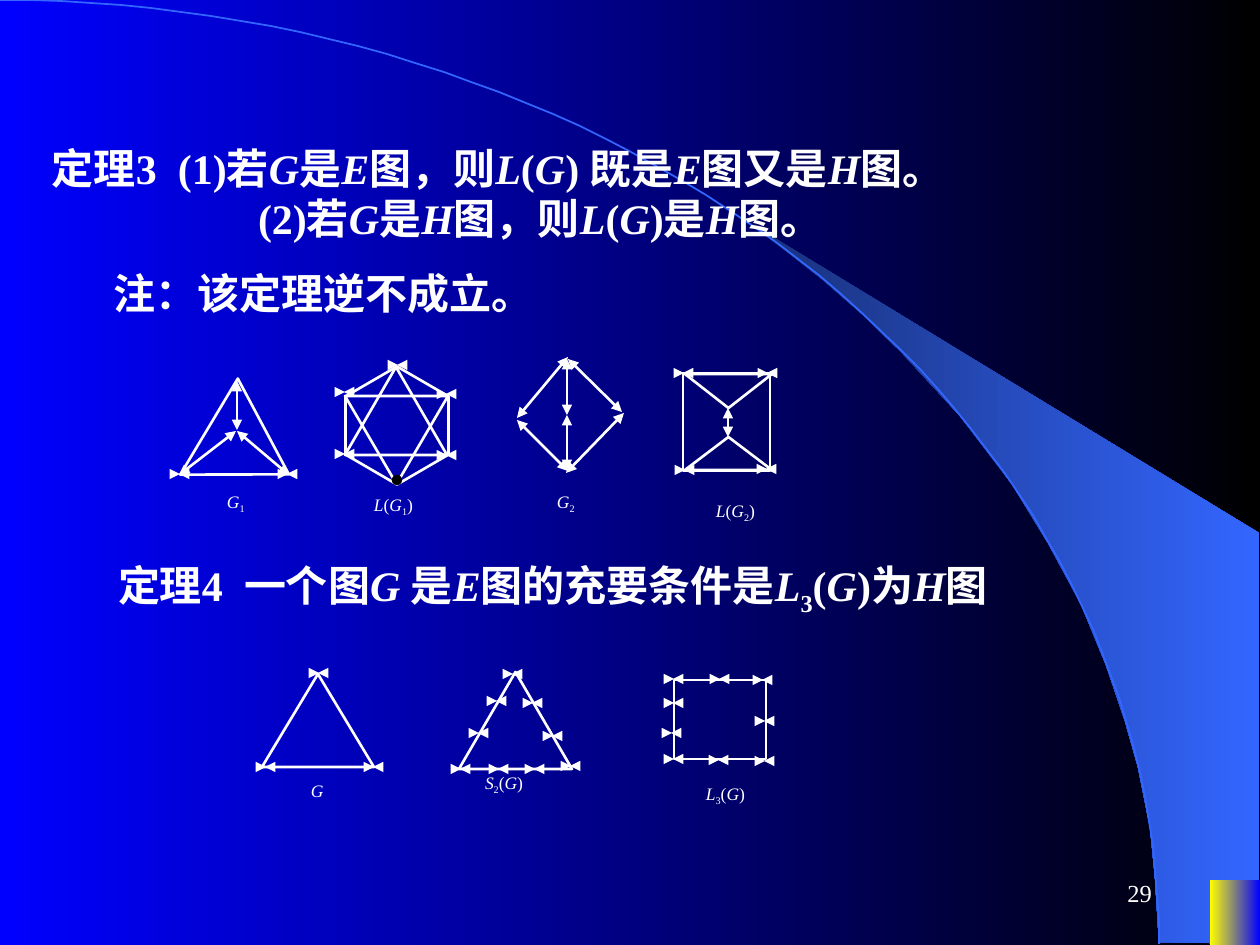
"""Build the slide on theorems 3 and 4 about line graphs, with their example graphs."""
import itertools
import math

import pptx
import pptx.dml.color
import pptx.enum.shapes
import pptx.enum.text
import pptx.oxml
import pptx.oxml.ns
import pptx.util

PX = 7257
WHITE = "FFFFFF"
SUBSCRIPTS = {"₁": "1", "₂": "2", "₃": "3"}
ALIGN = pptx.enum.text.PP_ALIGN
ANCHOR = pptx.enum.text.MSO_ANCHOR
SHAPE = pptx.enum.shapes.MSO_SHAPE
STRAIGHT = pptx.enum.shapes.MSO_CONNECTOR.STRAIGHT
NAMESPACE = pptx.oxml.ns.nsdecls("a")


def color(value):
    return pptx.dml.color.RGBColor.from_string(value)


def write_text(shape, box, lines, size, bold=False, anchor=ANCHOR.TOP, align=ALIGN.LEFT,
               inset=13, indents=(0,), tab=None, before=0):
    shape.left, shape.top, shape.width, shape.height = [PX * value for value in box]
    frame = shape.text_frame
    frame_format = {"word_wrap": True, "vertical_anchor": anchor,
                    "auto_size": pptx.enum.text.MSO_AUTO_SIZE.NONE,
                    "margin_left": PX * inset, "margin_right": PX * 13,
                    "margin_top": PX * 6, "margin_bottom": PX * 6}
    for name, value in frame_format.items():
        setattr(frame, name, value)
    for index, (line, indent) in enumerate(zip(lines, indents)):
        paragraph = frame.add_paragraph() if index else frame.paragraphs[0]
        paragraph.alignment = align
        paragraph.space_before = pptx.util.Pt(before)
        properties = paragraph._p.get_or_add_pPr()
        properties.set("marL", str(PX * indent))
        properties.set("indent", "0")
        properties.append(pptx.oxml.parse_xml(f"<a:buNone {NAMESPACE}/>"))
        if tab:
            properties.append(pptx.oxml.parse_xml(
                f'<a:tabLst {NAMESPACE}><a:tab pos="{PX * tab}" algn="l"/></a:tabLst>'))
        kinds = itertools.groupby(line, lambda letter: (letter in "GEHLS", letter in SUBSCRIPTS))
        for (italic, subscript), letters in kinds:
            run = paragraph.add_run()
            run.text = "".join(SUBSCRIPTS.get(letter, letter) for letter in letters)
            font_format = {"name": "Times New Roman", "size": pptx.util.Pt(size),
                           "bold": bold, "italic": italic}
            for name, value in font_format.items():
                setattr(run.font, name, value)
            run.font.color.rgb = color(WHITE)
            if subscript:
                run._r.get_or_add_rPr().set("baseline", "-25000")


presentation = pptx.Presentation()
presentation.slide_width = PX * 1260
presentation.slide_height = PX * 945
slide = presentation.slides.add_slide(presentation.slide_layouts[1])
shapes = slide.shapes

crescent_points = [
    (1259, 944), (1259, 533), (742, 218), (786, 251), (823, 280), (863, 315), (902, 353),
    (960, 416), (1012, 484), (1048, 543), (1081, 604), (1106, 665), (1125, 721), (1138, 767),
    (1150, 827), (1155, 877), (1159, 942)]
builder = shapes.build_freeform(1159, 942, scale=PX)
builder.add_line_segments(crescent_points, close=True)
crescent = builder.convert_to_shape()

arc_angles = [math.radians(90 * step / 60) for step in range(1, 61)]
builder = shapes.build_freeform(0, 0, scale=PX)
builder.add_line_segments(
    [(round(1159 * math.sin(angle), 2), round(944 * (1 - math.cos(angle)), 2))
     for angle in arc_angles], close=False)
arc = builder.convert_to_shape()
arc.shadow.inherit = False
arc.fill.background()
arc.line.color.rgb = color("3366FF")
arc.line.width = pptx.util.Pt(1)

corner = shapes.add_shape(SHAPE.RECTANGLE, PX * 1210, PX * 880, PX * 50, PX * 65)
for shape in (crescent, corner):
    shape.shadow.inherit = False
    shape.line.fill.background()

gradients = [
    (slide.background.fill, "0000FF", "000000"),
    (crescent.fill, "182F76", "3366FF"),
    (corner.fill, "FFFF00", "0000FF")]
for fill, start, end in gradients:
    fill.gradient()
    fill.gradient_angle = 0
    for stop, position, value in zip(fill.gradient_stops, (0, 1), (start, end)):
        stop.position = position
        stop.color.rgb = color(value)

title, body = shapes.title, slide.placeholders[1]
for placeholder in (title, body):
    shapes._spTree.append(placeholder._element)
write_text(title, (26, 136, 1119, 113),
           ["定理3\t(1)若G是E图，则L(G) 既是E图又是H图。", "(2)若G是H图，则L(G)是H图。"],
           24, bold=True, anchor=ANCHOR.MIDDLE, inset=26, indents=(0, 206), tab=189)
write_text(body, (105, 528, 966, 121), ["定理4\t一个图G 是E图的充要条件是L₃(G)为H图"],
           24, bold=True, anchor=ANCHOR.MIDDLE, tab=146)
write_text(shapes.add_textbox(0, 0, 0, 0), (53, 262, 1102, 63), ["注：该定理逆不成立。"],
           24, bold=True, indents=(48,), before=15)
write_text(shapes.add_textbox(0, 0, 0, 0), (903, 861, 262, 63), ["29"],
           14, anchor=ANCHOR.MIDDLE, align=ALIGN.RIGHT)

outlines = [
    (SHAPE.ISOSCELES_TRIANGLE, 193, 404, 112, 93, 120.9),
    (SHAPE.HEXAGON, 338, 374, 118, 103, 90),
    (SHAPE.ISOSCELES_TRIANGLE, 345, 367, 102, 88, 0),
    (SHAPE.ISOSCELES_TRIANGLE, 345, 396, 103, 88, 180),
    (SHAPE.RECTANGLE, 683, 373, 87, 98, 0),
    (SHAPE.ISOSCELES_TRIANGLE, 685, 437, 87, 33, 0),
    (SHAPE.ISOSCELES_TRIANGLE, 685, 374, 87, 34, 180),
    (SHAPE.ISOSCELES_TRIANGLE, 262, 674, 112, 93, 0),
    (SHAPE.ISOSCELES_TRIANGLE, 459, 672, 113, 97, 0),
    (SHAPE.RECTANGLE, 674, 680, 92, 79, 0)]
for kind, left, top, width, height, rotation in outlines:
    shape = shapes.add_shape(kind, PX * left, PX * top, PX * width, PX * height)
    shape.rotation = rotation
    shape.shadow.inherit = False
    shape.fill.background()
    shape.line.color.rgb = color(WHITE)
    shape.line.width = pptx.util.Pt(1.5)
    if kind == SHAPE.HEXAGON:
        shape.adjustments[0] = 0.29

edges = [
    (237, 381, 237, 430), (236, 431, 179, 475), (237, 431, 289, 475),
    (567, 415, 567, 359), (568, 359, 622, 412), (568, 357, 517, 418),
    (567, 415, 567, 470), (517, 420, 568, 471), (624, 413, 566, 473),
    (728, 408, 728, 437)]
vertices = [
    (179, 474), (287, 474),
    (446, 394), (397, 365), (446, 455), (344, 454), (344, 392),
    (683, 373), (767, 373), (684, 470), (766, 469),
    (318, 673), (265, 767), (373, 767),
    (460, 769), (512, 674), (496, 701), (570, 766), (552, 736), (532, 703),
    (478, 733), (534, 769), (498, 769),
    (673, 759), (671, 733), (673, 703), (673, 679), (762, 680), (719, 679),
    (718, 760), (764, 761), (764, 721)]
vertex_marks = [(x, y, x + 1, y) for x, y in vertices]
double_arrow = {"headEnd": "triangle", "tailEnd": "triangle"}
lines = [(ends, WHITE, 1.5, double_arrow) for ends in edges + vertex_marks]
lines.append(((396, 480, 397, 480), "000000", 0.75, {"tailEnd": "oval"}))
for ends, value, width, tips in lines:
    connector = shapes.add_connector(STRAIGHT, *[PX * end for end in ends])
    connector.line.color.rgb = color(value)
    connector.line.width = pptx.util.Pt(width)
    properties = connector._element.spPr
    outline = properties.find(pptx.oxml.ns.qn("a:ln"))
    for tag, tip in tips.items():
        outline.append(pptx.oxml.parse_xml(f'<a:{tag} {NAMESPACE} type="{tip}"/>'))
    properties.append(pptx.oxml.parse_xml(f"<a:effectLst {NAMESPACE}/>"))

labels = [
    ("G₁", 214, 485, 58, 37), ("L(G₁)", 361, 488, 84, 44),
    ("G₂", 544, 485, 55, 34), ("L(G₂)", 703, 494, 81, 45),
    ("G", 298, 774, 44, 35), ("S₂(G)", 472, 766, 93, 44), ("L₃(G)", 693, 777, 82, 39)]
for label, *box in labels:
    write_text(shapes.add_textbox(0, 0, 0, 0), box, [label], 10, align=ALIGN.JUSTIFY)

presentation.save("out.pptx")
